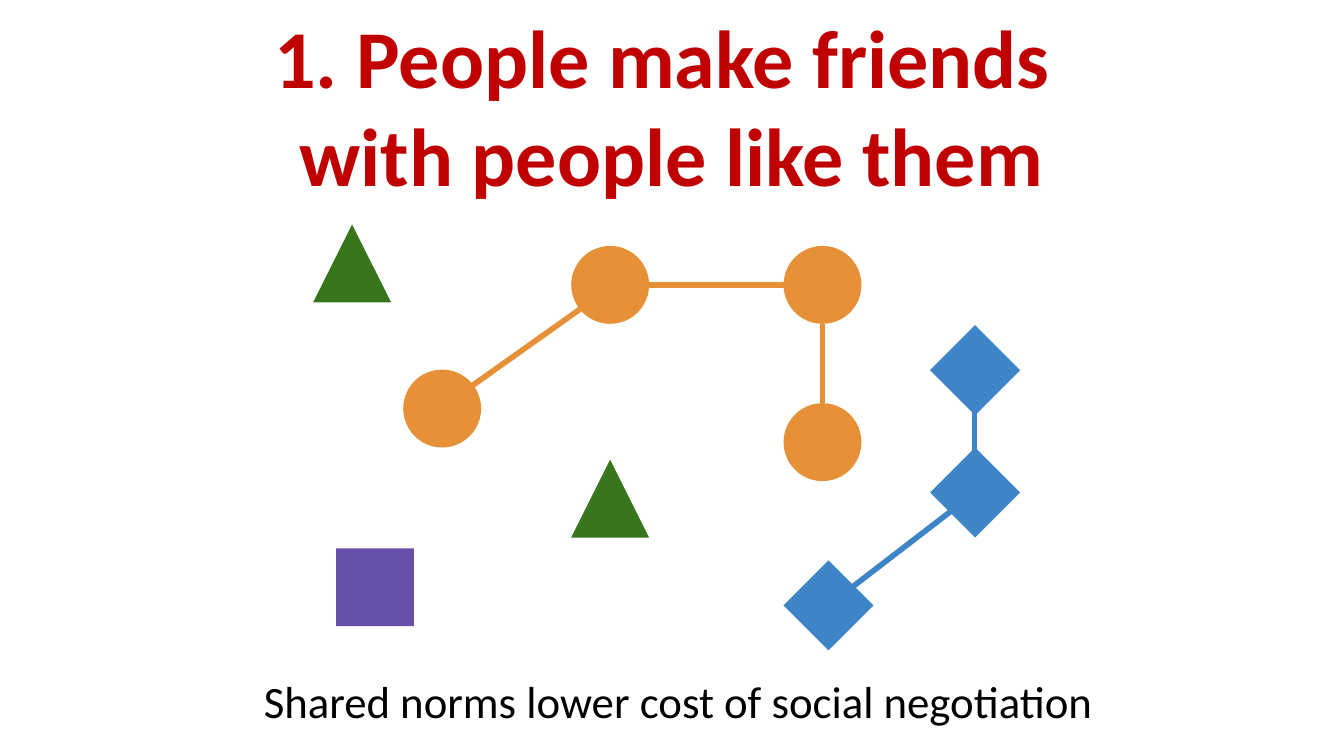
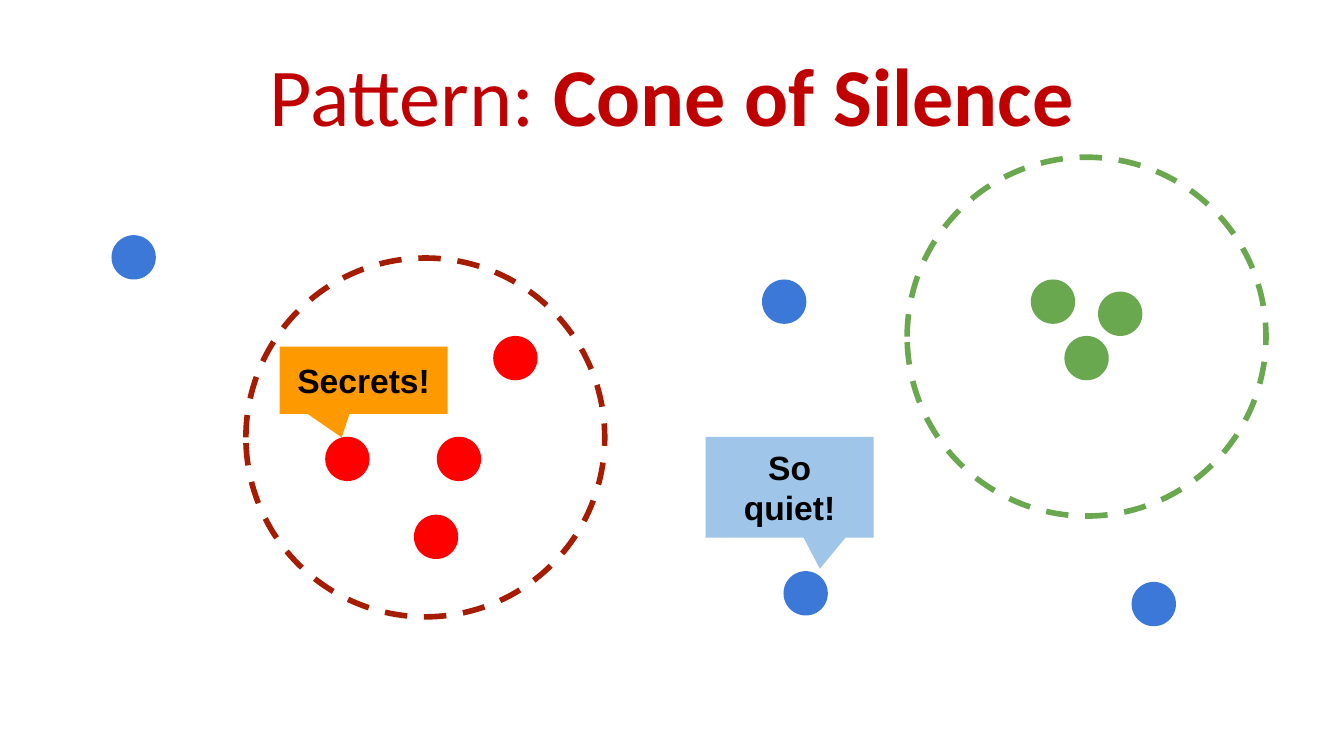
import dataclasses

import lxml.etree
import pptx
import pptx.dml.color
import pptx.enum.dml
import pptx.enum.shapes
import pptx.enum.text
import pptx.oxml.ns
import pptx.util

Inches = pptx.util.Inches
Shape = pptx.enum.shapes.MSO_SHAPE


@dataclasses.dataclass(frozen=True)
class Theme:
    """Colours, fonts and sizes that the slides share."""

    title: str = "C00000"
    text: str = "000000"
    triangle: str = "38761D"
    circle: str = "E69138"
    diamond: str = "3D85C6"
    square: str = "674EA7"
    secret: str = "FF0000"
    secret_ring: str = "A61C00"
    secret_callout: str = "FF9900"
    outsider: str = "3C78D8"
    outsider_callout: str = "9FC5E8"
    quiet: str = "6AA84F"
    body_font: str = "Calibri"
    callout_font: str = "Arial"
    title_size: int = 44
    caption_size: int = 24
    callout_size: int = 18
    line_width: int = 3
    inset: float = 0.1


@dataclasses.dataclass(frozen=True)
class Box:
    """A rectangle in inches."""

    left: float
    top: float
    width: float
    height: float

    def inside(self, left, top, width, height):
        """Return a box placed relative to this one."""
        return Box(self.left + left, self.top + top, width, height)

    def lengths(self):
        """Return left, top, width and height as lengths."""
        return [Inches(value) for value in dataclasses.astuple(self)]


THEME = Theme()


def rgb(colour):
    """Turn a hexadecimal string into a colour."""
    return pptx.dml.color.RGBColor.from_string(colour)


def format_frame(frame):
    """Set wrapping, middle anchor and insets of a text frame."""
    frame.word_wrap = True
    frame.auto_size = pptx.enum.text.MSO_AUTO_SIZE.NONE
    frame.vertical_anchor = pptx.enum.text.MSO_ANCHOR.MIDDLE
    for side in ("left", "top", "right", "bottom"):
        setattr(frame, f"margin_{side}", Inches(THEME.inset))


def format_paragraph(paragraph, name, size, colour, bold=None):
    """Centre a paragraph and set its font."""
    paragraph.alignment = pptx.enum.text.PP_ALIGN.CENTER
    paragraph.font.name = name
    paragraph.font.size = pptx.util.Pt(size)
    paragraph.font.color.rgb = rgb(colour)
    paragraph.font.bold = bold


def add_title_slide(presentation, box, lines):
    """Add a slide whose title lines are lists of (text, bold) runs."""
    slide = presentation.slides.add_slide(presentation.slide_layouts[5])
    title = slide.shapes.title
    title.left, title.top, title.width, title.height = box.lengths()
    frame = title.text_frame
    format_frame(frame)
    for index, runs in enumerate(lines):
        paragraph = frame.add_paragraph() if index else frame.paragraphs[0]
        format_paragraph(paragraph, THEME.body_font, THEME.title_size, THEME.title)
        for text, bold in runs:
            run = paragraph.add_run()
            run.text = text
            run.font.bold = bold
    return slide


def add_solid(slide, kind, box, colour):
    """Add a filled shape without outline."""
    shape = slide.shapes.add_shape(kind, *box.lengths())
    shape.shadow.inherit = False
    shape.fill.solid()
    shape.fill.fore_color.rgb = rgb(colour)
    shape.line.fill.background()
    return shape


def add_solids(slide, kind, area, size, colour, corners):
    """Add equal shapes at the given corners of an area."""
    for left, top in corners:
        add_solid(slide, kind, area.inside(left, top, size, size), colour)


def add_links(slide, area, colour, links):
    """Add straight links given by their end points in an area."""
    for start_x, start_y, end_x, end_y in links:
        connector = slide.shapes.add_connector(
            pptx.enum.shapes.MSO_CONNECTOR.STRAIGHT,
            Inches(area.left + start_x), Inches(area.top + start_y),
            Inches(area.left + end_x), Inches(area.top + end_y))
        connector.line.color.rgb = rgb(colour)
        connector.line.width = pptx.util.Pt(THEME.line_width)
        properties = connector._element.spPr
        lxml.etree.SubElement(properties, pptx.oxml.ns.qn("a:effectLst"))


def add_ring(slide, box, colour):
    """Add a dashed circle without fill."""
    ring = slide.shapes.add_shape(Shape.OVAL, *box.lengths())
    ring.shadow.inherit = False
    ring.fill.background()
    ring.line.color.rgb = rgb(colour)
    ring.line.width = pptx.util.Pt(THEME.line_width)
    ring.line.dash_style = pptx.enum.dml.MSO_LINE.DASH


def add_callout(slide, box, colour, text, pointer):
    """Add a speech callout with square corners."""
    callout = add_solid(slide, Shape.ROUNDED_RECTANGULAR_CALLOUT, box, colour)
    for index, value in enumerate((*pointer, 0)):
        callout.adjustments[index] = value
    format_frame(callout.text_frame)
    paragraph = callout.text_frame.paragraphs[0]
    paragraph.text = text
    format_paragraph(paragraph, THEME.callout_font, THEME.callout_size,
                     THEME.text, True)


def add_caption(slide, box, text):
    """Add the centred line below a diagram."""
    caption = slide.shapes.add_textbox(*box.lengths())
    format_frame(caption.text_frame)
    paragraph = caption.text_frame.paragraphs[0]
    paragraph.text = text
    format_paragraph(paragraph, THEME.body_font, THEME.caption_size, THEME.text)


def add_friend_network(slide, area):
    """Draw groups of like shapes and the links within them."""
    node, diamond = 0.58, 0.67
    add_solids(slide, Shape.ISOSCELES_TRIANGLE, area, node, THEME.triangle,
               [(0, 0), (1.92, 1.75)])
    add_solids(slide, Shape.OVAL, area, node, THEME.circle,
               [(0.67, 1.08), (1.92, 0.16), (3.5, 0.16), (3.5, 1.33)])
    add_solids(slide, Shape.DIAMOND, area, diamond, THEME.diamond,
               [(4.59, 0.75), (4.59, 1.66), (3.5, 2.5)])
    add_solids(slide, Shape.RECTANGLE, area, node, THEME.square, [(0.17, 2.41)])
    add_links(slide, area, THEME.circle,
              [(1, 1.33, 2.17, 0.5), (2.5, 0.45, 3.5, 0.45),
               (3.79, 0.74, 3.79, 1.33)])
    add_links(slide, area, THEME.diamond,
              [(4.92, 1.08, 4.92, 2), (4.92, 2, 3.84, 2.83)])


def add_group(slide, box, ring_colour, dot_colour, corners):
    """Draw a dashed ring around the dots of one group."""
    add_ring(slide, box, ring_colour)
    add_solids(slide, Shape.OVAL, box, 0.33, dot_colour, corners)


def add_silence_diagram(slide, area):
    """Draw two closed groups, the outsiders and what they say."""
    ring = 2.67
    add_group(slide, area.inside(1, 0.75, ring, ring), THEME.secret_ring,
              THEME.secret,
              [(1.09, 0.83), (0.59, 1.33), (1.25, 1.91), (1.42, 1.33),
               (1.84, 0.58)])
    add_group(slide, area.inside(5.92, 0, ring, ring), THEME.quiet, THEME.quiet,
              [(1.42, 1), (0.92, 0.91), (1.17, 1.33)])
    add_solids(slide, Shape.OVAL, area, 0.33, THEME.outsider,
               [(0, 0.58), (4.84, 0.91), (5, 3.08), (7.59, 3.16)])
    add_callout(slide, area.inside(1.25, 1.41, 1.25, 0.5), THEME.secret_callout,
                "Secrets!", (-0.13, 0.85))
    add_callout(slide, area.inside(4.42, 2.08, 1.25, 0.75),
                THEME.outsider_callout, "So quiet!", (0.18, 0.81))


def main():
    """Build both slides and save the presentation."""
    presentation = pptx.Presentation()
    presentation.slide_width = Inches(10)
    presentation.slide_height = Inches(10 * 9 / 16)

    friends = add_title_slide(
        presentation, Box(0.5, 0.31, 9, 0.94),
        [[("1. People make friends ", True)], [("with people like them", True)]])
    add_friend_network(friends, Box(2.33, 1.67, 5.26, 3.17))
    add_caption(friends, Box(0.17, 4.92, 9.75, 0.58),
                "Shared norms lower cost of social negotiation")

    silence = add_title_slide(
        presentation, Box(0.5, 0.23, 9, 0.94),
        [[("Pattern:", False), (" Cone of Silence", True)]])
    add_silence_diagram(silence, Box(0.83, 1.17, 8.59, 3.49))

    presentation.save("out.pptx")


if __name__ == "__main__":
    main()
